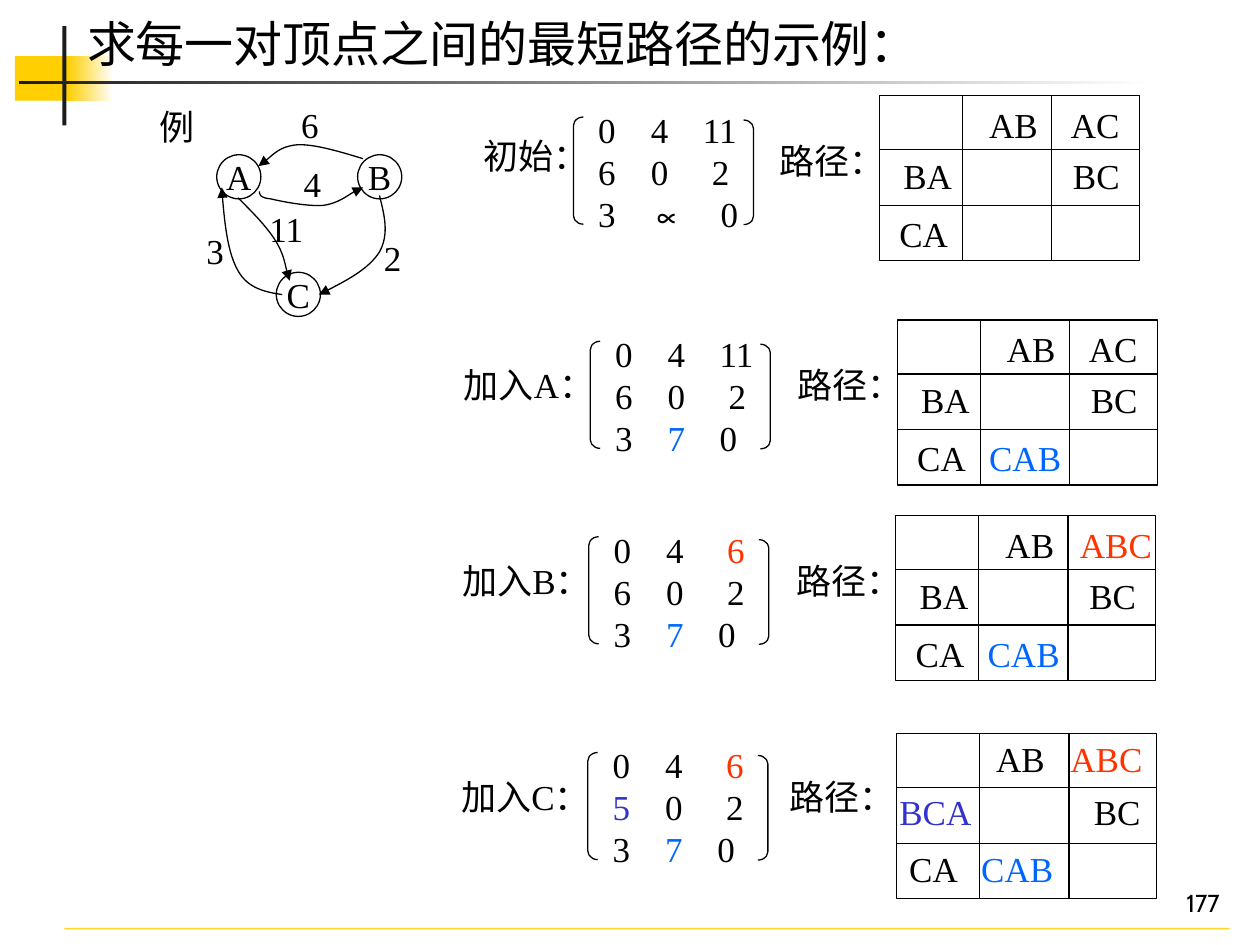
from dataclasses import dataclass
from lxml import etree
from pptx import Presentation
from pptx.dml.color import RGBColor
from pptx.enum.shapes import MSO_CONNECTOR, MSO_SHAPE
from pptx.enum.text import MSO_ANCHOR, MSO_AUTO_SIZE, PP_ALIGN
from pptx.oxml.ns import qn
from pptx.util import Cm, Pt

RECT, OVAL = MSO_SHAPE.RECTANGLE, MSO_SHAPE.OVAL
LEFT_BRACKET, RIGHT_BRACKET = MSO_SHAPE.LEFT_BRACKET, MSO_SHAPE.RIGHT_BRACKET
LEFT, CENTER, RIGHT = PP_ALIGN.LEFT, PP_ALIGN.CENTER, PP_ALIGN.RIGHT
TOP, MIDDLE, BOTTOM = MSO_ANCHOR.TOP, MSO_ANCHOR.MIDDLE, MSO_ANCHOR.BOTTOM
STRAIGHT = MSO_CONNECTOR.STRAIGHT


@dataclass(frozen=True)
class Theme:
    ink: str = "000000"
    dark: str = "1C1C1C"
    white: str = "FFFFFF"
    gold: str = "FFCF01"
    rule: str = "FFCC00"
    red: str = "FF3300"
    blue: str = "0066FF"
    violet: str = "3333CC"
    body_font: str = "Times New Roman"
    title_font: str = "Cabin"
    body_size: int = 20
    title_size: int = 28
    number_size: int = 14
    line: float = 0.75


THEME = Theme()
TITLE = "求每一对顶点之间的最短路径的示例："
PAGE_NUMBER = "177"
PATH_LABEL = "路径："

NODES = [("A", 4.37, 3.12), ("B", 7.21, 3.12), ("C", 5.57, 5.49)]
NODE_SIZE = 0.89
EDGES = [
    [(5.23, 3.86), (5.23, 3.91), (5.23, 3.99), (5.46, 4.01), (5.66, 4.06),
     (6.22, 4.17), (6.53, 4.14), (6.83, 4.09), (7.19, 3.81), (7.32, 3.78)],
    [(7.32, 3.2), (6.83, 3.05), (6.32, 2.9), (5.99, 2.92), (5.64, 2.95),
     (5.33, 3.28), (5.21, 3.35)],
    [(4.8, 3.99), (5.08, 4.27), (5.36, 4.55), (5.54, 4.83), (5.72, 5.11),
     (5.79, 5.54), (5.84, 5.66)],
    [(5.69, 5.94), (5.36, 5.89), (5, 5.82), (4.8, 5.46), (4.6, 5.11),
     (4.52, 4.45), (4.47, 3.78)],
    [(7.65, 3.94), (7.75, 4.34), (7.85, 4.72), (7.65, 5.08), (7.44, 5.41),
     (6.93, 5.69), (6.43, 5.94)],
]
GRAPH_LABELS = [("例", 2.97, 2.01, 1.22), ("6", 5.82, 1.96, 0.86), ("4", 5.87, 3.15, 0.86),
                ("3", 3.91, 4.5, 0.86), ("11", 5.18, 4.06, 1.22), ("2", 7.49, 4.65, 0.86)]

SIX, SEVEN, FIVE = ("6", THEME.red), ("7", THEME.blue), ("5", THEME.violet)
ABC, CAB, BCA = ("ABC", THEME.red), ("CAB", THEME.blue), ("BCA", THEME.violet)
NEAR, MID, FAR = 2.11, 2.29, 2.47
ROW_PLACES = [(1.96, 0.03), (0.23, 1.06), (0.15, 2.23)]
LAST_ROW_PLACES = [(1.75, -0.05), (-0.2, 1.02), (0, 2.18)]
STAGES = [
    dict(label="初始：", origin=(11.81, 2.06), label_at=(-2.31, 0.53), path_dx=3.66,
         matrix=[(NEAR, "0", "4", "11"), (MID, "6", "0", "2"), (FAR, "3", "∝", "0")],
         grid_at=(5.92, -0.13), places=ROW_PLACES,
         paths=[(1.65, "AB", "AC"), (3.42, "BA", "BC"), (1.45, "CA")]),
    dict(label="加入A：", origin=(12.15, 6.58), label_at=(-3.05, 0.63), path_dx=3.68,
         matrix=[(NEAR, "0", "4", "11"), (MID, "6", "0", "2"), (NEAR, "3", SEVEN, "0")],
         grid_at=(5.94, -0.13), places=ROW_PLACES,
         paths=[(1.65, "AB", "AC"), (3.42, "BA", "BC"), (1.45, "CA", CAB)]),
    dict(label="加入B：", origin=(12.12, 10.52), label_at=(-3.05, 0.63), path_dx=3.68,
         matrix=[(MID, "0", "4", SIX), (MID, "6", "0", "2"), (NEAR, "3", SEVEN, "0")],
         grid_at=(5.94, -0.13), places=ROW_PLACES,
         paths=[(1.5, "AB", ABC), (3.42, "BA", "BC"), (1.45, "CA", CAB)]),
    dict(label="加入C：", origin=(12.1, 14.87), label_at=(-3.05, 0.63), path_dx=3.57,
         matrix=[(MID, "0", "4", SIX), (MID, FIVE, "0", "2"), (NEAR, "3", SEVEN, "0")],
         grid_at=(5.98, -0.08), places=LAST_ROW_PLACES,
         paths=[(1.5, "AB", ABC), (3.92, BCA, "BC"), (1.45, "CA", CAB)]),
]
MIDDLE_TAB = 1.06
GRID_SIZE = (5.24, 3.33)
GRID_COLUMNS = [1.67, 3.47]
GRID_ROWS = [1.09, 2.21]


def rgb(value):
    return RGBColor.from_string(value)


def style(para, size=THEME.body_size, name=THEME.body_font, align=LEFT):
    para.alignment = align
    para.font.size, para.font.name = Pt(size), name
    para.font.color.rgb = rgb(THEME.ink)


def add_box(page, x, y, width, height=1.09, anchor=TOP):
    box = page.shapes.add_textbox(Cm(x), Cm(y), Cm(width), Cm(height))
    box.text_frame.word_wrap = True
    box.text_frame.vertical_anchor = anchor
    return box.text_frame


def add_text(page, text, x, y, width, height=1.09, anchor=TOP, **look):
    frame = add_box(page, x, y, width, height, anchor)
    frame.text = text
    style(frame.paragraphs[0], **look)


def fill_row(para, items, tabs):
    stops = etree.SubElement(para._p.get_or_add_pPr(), qn("a:tabLst"))
    for place in tabs:
        etree.SubElement(stops, qn("a:tab"), pos=str(Cm(place)), algn="l")
    style(para)
    for index, item in enumerate(items):
        text, color = item if isinstance(item, tuple) else (item, THEME.ink)
        span = para.add_run()
        span.text = "\t" + text if index else text
        if color != THEME.ink:
            span.font.color.rgb = rgb(color)


def finish_outline(shape):
    shape.shadow.inherit = False
    shape.fill.background()
    shape.line.color.rgb = rgb(THEME.ink)
    shape.line.width = Pt(THEME.line)


def add_outline(page, kind, x, y, width, height):
    shape = page.shapes.add_shape(kind, Cm(x), Cm(y), Cm(width), Cm(height))
    finish_outline(shape)
    return shape


def add_line(page, start, end, color=THEME.ink, width=THEME.line):
    places = [Cm(value) for value in (*start, *end)]
    line = page.shapes.add_connector(STRAIGHT, *places)
    line.line.color.rgb = rgb(color)
    line.line.width = Pt(width)
    etree.SubElement(line._element.spPr, qn("a:effectLst"))
    return line


def add_bar(page, x, y, width, height, color, fade=False):
    bar = page.shapes.add_shape(RECT, Cm(x), Cm(y), Cm(width), Cm(height))
    bar.shadow.inherit = False
    bar.line.fill.background()
    if fade:
        bar.fill.gradient()
        bar.fill.gradient_angle = 0
        for stop, shade in zip(bar.fill.gradient_stops, (color, THEME.white)):
            stop.color.rgb = rgb(shade)
    else:
        bar.fill.solid()
        bar.fill.fore_color.rgb = rgb(color)


def add_frame(page):
    add_bar(page, 0.3, 1.13, 1.22, 0.9, THEME.gold)
    add_bar(page, 1.37, 1.13, 0.91, 0.9, THEME.gold, fade=True)
    add_bar(page, 1.26, 0.53, 0.08, 2, THEME.dark)
    add_bar(page, 0.38, 1.64, 22.86, 0.06, THEME.dark, fade=True)
    rule = add_line(page, (1.3, 18.72), (24.79, 18.72), THEME.rule, 1)
    color = rule.line._get_or_add_ln().find(".//" + qn("a:srgbClr"))
    etree.SubElement(color, qn("a:alpha"), val="83000")
    add_text(page, PAGE_NUMBER, 19.56, 17.35, 5.28, 1.27, BOTTOM,
             size=THEME.number_size, name=THEME.title_font, align=RIGHT)


def add_title(page):
    title = page.shapes.title
    page.shapes._spTree.append(title._element)
    title.left, title.top, title.width, title.height = Cm(1.5), Cm(0.15), Cm(17.3), Cm(1.45)
    title.text_frame.text = TITLE
    title.text_frame.auto_size = MSO_AUTO_SIZE.NONE
    title.text_frame.vertical_anchor = TOP
    style(title.text_frame.paragraphs[0], THEME.title_size, THEME.title_font)


def add_curve(page, points):
    first, *rest = [(Cm(x), Cm(y)) for x, y in points]
    builder = page.shapes.build_freeform(*first)
    builder.add_line_segments(rest, close=False)
    arrow = builder.convert_to_shape()
    steps = list(arrow._element.iter(qn("a:lnTo")))
    for index in range(0, len(steps), 3):
        curve = etree.Element(qn("a:cubicBezTo"))
        steps[index].addprevious(curve)
        for step in steps[index:index + 3]:
            curve.append(step[0])
            step.getparent().remove(step)
    finish_outline(arrow)
    etree.SubElement(arrow.line._get_or_add_ln(), qn("a:tailEnd"), type="triangle")


def add_graph(page):
    for name, x, y in NODES:
        frame = add_outline(page, OVAL, x, y, NODE_SIZE, NODE_SIZE).text_frame
        frame.margin_left = frame.margin_right = frame.margin_top = frame.margin_bottom = 0
        frame.word_wrap, frame.vertical_anchor = False, MIDDLE
        frame.text = name
        style(frame.paragraphs[0], align=CENTER)
    for edge in EDGES:
        add_curve(page, edge)
    for label in GRAPH_LABELS:
        add_text(page, *label)


def add_matrix(page, rows, x, y):
    frame = add_box(page, x, y, 3.33, 2.79)
    for index, (last_tab, *items) in enumerate(rows):
        para = frame.add_paragraph() if index else frame.paragraphs[0]
        fill_row(para, items, (MIDDLE_TAB, last_tab))
    for kind, dx, dy, height, bend in ((LEFT_BRACKET, -0.25, 0.3, 2.16, 0.867),
                                       (RIGHT_BRACKET, 3.18, 0.36, 2.11, 0.846)):
        add_outline(page, kind, x + dx, y + dy, 0.2, height).adjustments[0] = bend


def add_paths(page, rows, places, x, y):
    width, height = GRID_SIZE
    add_outline(page, RECT, x, y, width, height)
    for dy in GRID_ROWS:
        add_line(page, (x, y + dy), (x + width, y + dy))
    for dx in GRID_COLUMNS:
        add_line(page, (x + dx, y), (x + dx, y + height))
    for (tab, *items), (dx, dy) in zip(rows, places):
        box_width = tab + 1.98 if len(items) > 1 else 1.5
        fill_row(add_box(page, x + dx, y + dy, box_width).paragraphs[0], items, [tab])


def main():
    deck = Presentation()
    deck.slide_width, deck.slide_height = Cm(25.4), Cm(19.05)
    page = deck.slides.add_slide(deck.slide_layouts[5])
    add_frame(page)
    add_graph(page)
    for stage in STAGES:
        x, y = stage["origin"]
        label_dx, label_dy = stage["label_at"]
        grid_dx, grid_dy = stage["grid_at"]
        add_matrix(page, stage["matrix"], x, y)
        add_text(page, stage["label"], x + label_dx, y + label_dy, 3.5)
        add_text(page, PATH_LABEL, x + stage["path_dx"], y + 0.63, 2.62)
        add_paths(page, stage["paths"], stage["places"], x + grid_dx, y + grid_dy)
    add_title(page)
    deck.save("out.pptx")


if __name__ == "__main__":
    main()
